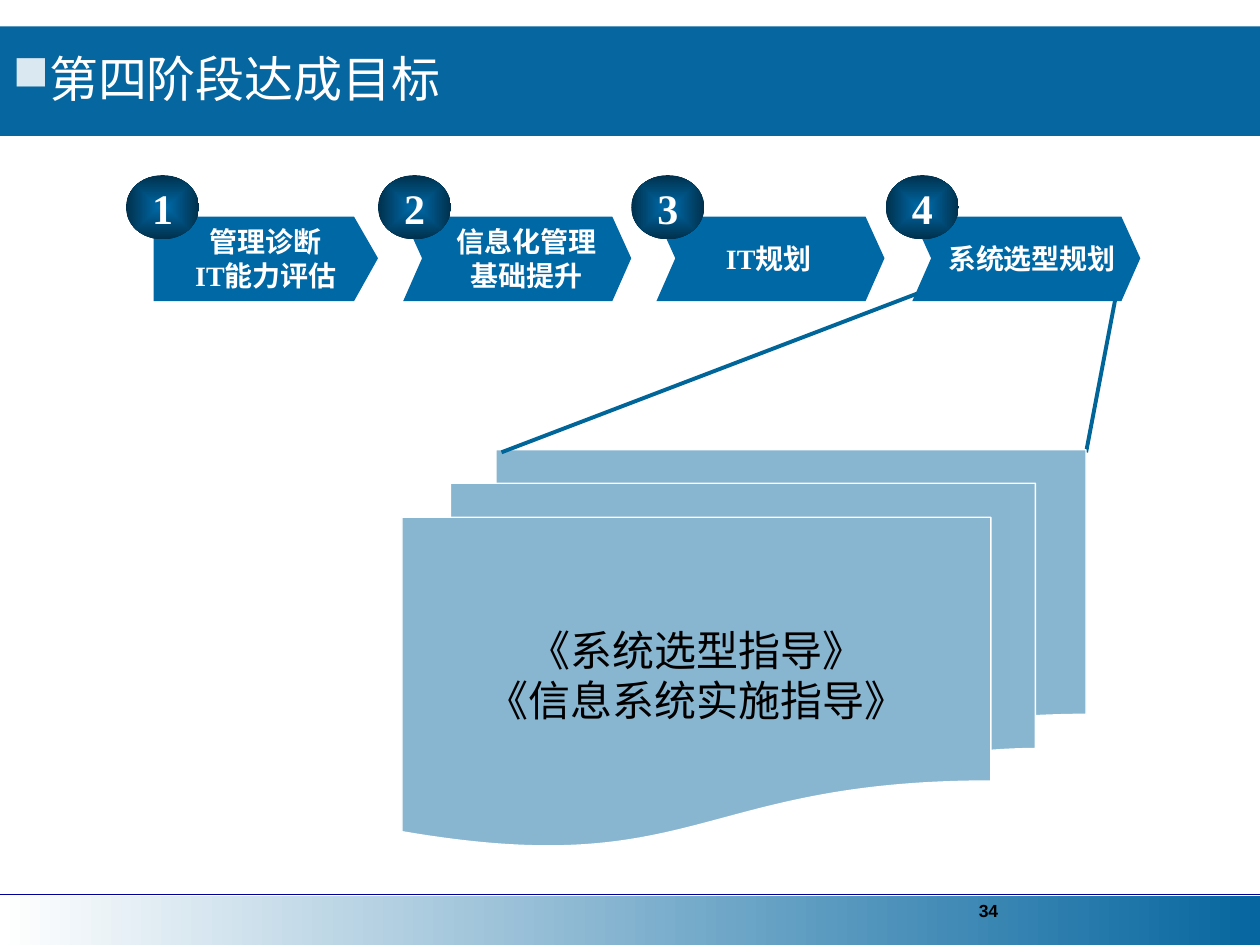
from lxml import etree
from pptx import Presentation
from pptx import util as u
from pptx.dml import color
from pptx.enum import shapes, text
from pptx.oxml import ns

WHITE = color.RGBColor(0xFF, 0xFF, 0xFF)
BLACK = color.RGBColor(0x00, 0x00, 0x00)
BAND_BLUE = color.RGBColor(0x06, 0x66, 0x9F)
STEP_BLUE = color.RGBColor(0x00, 0x68, 0xA5)
DARK_BLUE = color.RGBColor(0x00, 0x30, 0x4C)
CALLOUT_BLUE = color.RGBColor(0x00, 0x66, 0x99)
RULE_BLUE = color.RGBColor(0x00, 0x00, 0x99)
PAPER_BLUE = color.RGBColor(0x88, 0xB6, 0xD1)
BULLET_BLUE = color.RGBColor(0xDA, 0xE8, 0xF1)


def write_text(box, lines, *, size, ink, font="Arial", bold=False, align=text.PP_ALIGN.CENTER,
               anchor=text.MSO_ANCHOR.MIDDLE, wrap=False, margins=(0.1, 0.05), spacing=None):
    frame = box.text_frame
    frame.auto_size = text.MSO_AUTO_SIZE.NONE
    frame.word_wrap = wrap
    frame.vertical_anchor = anchor
    frame.margin_left = frame.margin_right = u.Inches(margins[0])
    frame.margin_top = frame.margin_bottom = u.Inches(margins[1])
    for index, line in enumerate(lines.split("\n")):
        para = frame.add_paragraph() if index else frame.paragraphs[0]
        para.alignment = align
        if spacing:
            para.line_spacing = spacing
        span = para.add_run()
        span.text = line
        span.font.name = font
        span.font.size = u.Pt(size)
        span.font.bold = bold
        span.font.color.rgb = ink


class SlideBuilder:
    """Holds the deck, the current page and the style of its elements."""

    def __init__(self):
        self.deck = Presentation()
        self.deck.slide_width = u.Inches(10)
        self.deck.slide_height = u.Inches(7.5)
        self.page = self.deck.slides.add_slide(self.deck.slide_layouts[5])

    def shape(self, kind, *area, fill=None, gradient=None, radial=False, line=None):
        box = self.page.shapes.add_shape(kind, *map(u.Inches, area))
        box.shadow.inherit = False
        if gradient:
            box.fill.gradient()
            for stop, shade in zip(box.fill.gradient_stops, gradient):
                stop.color.rgb = shade
            if radial:
                self.center_gradient(box)
            else:
                box.fill.gradient_angle = 0
        else:
            box.fill.solid()
            box.fill.fore_color.rgb = fill
        if line:
            box.line.color.rgb = line
            box.line.width = u.Pt(0.75)
        else:
            box.line.fill.background()
        return box

    def center_gradient(self, box):
        grad = box.element.spPr.find(ns.qn("a:gradFill"))
        grad.remove(grad.find(ns.qn("a:lin")))
        route = etree.SubElement(grad, ns.qn("a:path"), {"path": "rect"})
        sides = dict.fromkeys("ltrb", "50000")
        etree.SubElement(route, ns.qn("a:fillToRect"), sides)

    def line(self, start, end, ink, width):
        rule = self.page.shapes.add_connector(shapes.MSO_CONNECTOR.STRAIGHT, *map(u.Inches, start + end))
        rule.line.color.rgb = ink
        rule.line.width = u.Pt(width)
        etree.SubElement(rule.element.spPr, ns.qn("a:effectLst"))

    def label(self, lines, *area, **style):
        box = self.page.shapes.add_textbox(*map(u.Inches, area))
        write_text(box, lines, **style)

    def title(self, words, *area):
        box = self.page.shapes.title
        box.left, box.top, box.width, box.height = map(u.Inches, area)
        self.page.shapes.element.append(box.element)
        write_text(box, words, size=28, ink=WHITE, align=text.PP_ALIGN.LEFT, wrap=True, spacing=0.9)
        props = box.text_frame.paragraphs[0]._p.get_or_add_pPr()
        props.set("marL", str(u.Inches(0.29)))
        props.set("indent", str(-u.Inches(0.29)))
        tint = etree.SubElement(props, ns.qn("a:buClr"))
        etree.SubElement(tint, ns.qn("a:srgbClr"), {"val": str(BULLET_BLUE)})
        etree.SubElement(props, ns.qn("a:buChar"), {"char": "■"})

    def arrow(self, left, width, tip, notched):
        top, middle, bottom = 1.72, 2.05, 2.39
        right = left + width
        points = [(right - tip, top), (right, middle), (right - tip, bottom), (left, bottom)]
        if notched:
            points.append((left + tip, middle))
        outline = self.page.shapes.build_freeform(u.Inches(left), u.Inches(top))
        outline.add_line_segments([tuple(map(u.Inches, point)) for point in points], close=True)
        arrow = outline.convert_to_shape()
        arrow.shadow.inherit = False
        arrow.fill.solid()
        arrow.fill.fore_color.rgb = STEP_BLUE
        arrow.line.fill.background()

    def step(self, number, name, left, badge_left, label_left, label_width):
        first = number == 1
        self.arrow(left, 1.78 if first else 1.81, 0.19 if first else 0.15, not first)
        badge = self.shape(shapes.MSO_SHAPE.OVAL, badge_left, 1.39, 0.58, 0.51,
                           gradient=(STEP_BLUE, DARK_BLUE), radial=True)
        style = {"font": "Times New Roman", "ink": WHITE, "bold": True}
        write_text(badge, str(number), size=24, **style)
        height = 0.28 * len(name.split("\n"))
        self.label(name, label_left, 2.05 - height / 2, label_width, height, size=16, **style)


def main():
    slide = SlideBuilder()
    rectangle = shapes.MSO_SHAPE.RECTANGLE
    slide.shape(rectangle, 0, 7.11, 10, 0.41, gradient=(WHITE, BAND_BLUE))
    slide.line((-0.01, 7.1), (10.01, 7.1), RULE_BLUE, 1)
    slide.shape(rectangle, 0, 0.21, 10, 0.87, fill=BAND_BLUE)
    slide.label("34", 7.67, 7.09, 2.33, 0.36, size=10, ink=BLACK, bold=True,
                align=text.PP_ALIGN.LEFT, anchor=text.MSO_ANCHOR.TOP, wrap=True)
    slide.title("第四阶段达成目标", 0, 0.21, 10, 0.88)

    slide.line((8.86, 2.33), (8.62, 3.59), CALLOUT_BLUE, 2.25)
    steps = [
        ("管理诊断\nIT能力评估", 1.22, 1, 1.36, 1.5),
        ("信息化管理\n基础提升", 3.2, 3, 3.27, 1.82),
        ("IT规划", 5.21, 5.01, 5.19, 1.82),
        ("系统选型规划", 7.24, 7.03, 7.28, 1.82),
    ]
    for number, step in enumerate(steps, 1):
        slide.step(number, *step)

    papers = slide.shape(shapes.MSO_SHAPE.FLOWCHART_MULTIDOCUMENT, 3.19, 3.57, 5.43, 3.15,
                         fill=PAPER_BLUE, line=WHITE)
    write_text(papers, "《系统选型指导》\n《信息系统实施指导》", size=24, ink=BLACK, margins=(0, 0))
    slide.line((7.28, 2.33), (3.98, 3.59), CALLOUT_BLUE, 2.25)
    slide.deck.save("out.pptx")


if __name__ == "__main__":
    main()
